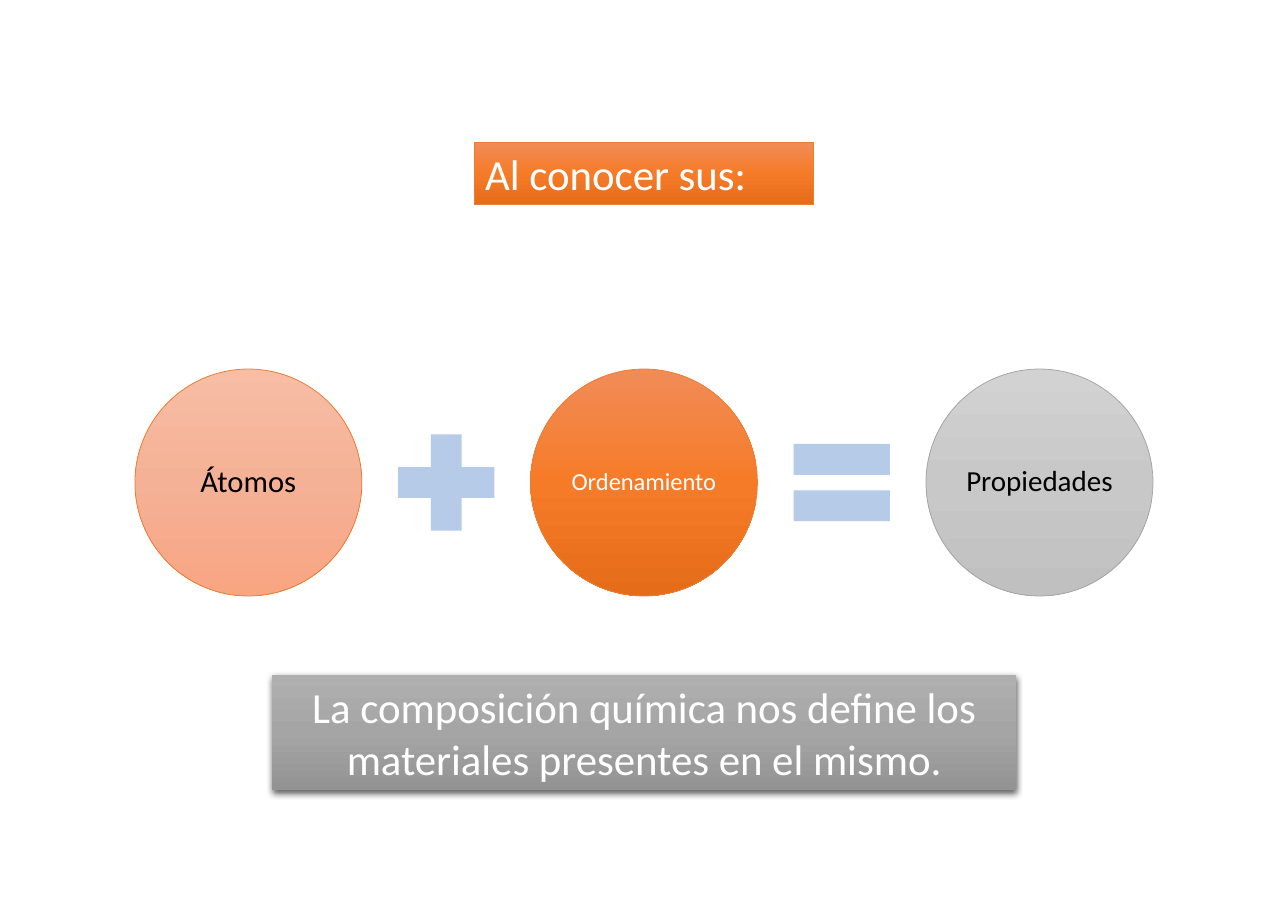
"""Build the slide on what atoms and their ordering say about a material."""
from copy import deepcopy

from lxml.etree import SubElement
from pptx import Presentation
from pptx.dml.color import RGBColor
from pptx.enum.shapes import MSO_SHAPE
from pptx.enum.text import MSO_ANCHOR, MSO_AUTO_SIZE, PP_ALIGN
from pptx.oxml.ns import qn
from pptx.util import Inches, Pt

TERMS = [("Átomos", "peach", "first"), ("Ordenamiento", "orange", "second"),
         ("Propiedades", "silver", "third")]
SIGNS = [MSO_SHAPE.MATH_PLUS, MSO_SHAPE.MATH_EQUAL]
TITLE = "Al conocer sus:"
CONCLUSION = "La composición química nos define los materiales presentes en el mismo."

THEME = {
    "font": "Calibri",
    "size": {"box": 28, "first": 20, "second": 16, "third": 19},
    "sign": "B5CBE7",
    "shadow": "000000",
    "peach": {"stops": ["F7BDA5", "F5B196", "F8A582"], "line": "ED7D31", "text": "000000"},
    "orange": {"stops": ["F18C57", "F67B28", "E56C19"], "line": "ED7D31", "text": "FFFFFF"},
    "silver": {"stops": ["D2D2D2", "C8C8C8", "C0C0C0"], "line": "A5A5A5", "text": "000000"},
    "gray": {"stops": ["AFAFAF", "A5A5A5", "939393"], "line": None, "text": "FFFFFF"},
}

SLIDE_W, SLIDE_H = 11.69, 8.26
CIRCLE, SIGN, GAP = 2.06, 1.19, 0.17
ROW_MIDDLE = 4.38


def set_all(obj, values):
    for name, value in values.items():
        setattr(obj, name, value)


def add_plain(slide, kind, left, top, width, height):
    sp = slide.shapes.add_shape(kind, *map(Inches, (left, top, width, height)))
    sp.shadow.inherit = False
    return sp


def paint(sp, style):
    sp.fill.gradient()
    sp.fill.gradient_angle = 270
    stop_list = sp._element.spPr.find(".//" + qn("a:gsLst"))
    stop_list.append(deepcopy(stop_list[-1]))
    for i, (stop, color) in enumerate(zip(sp.fill.gradient_stops, style["stops"])):
        stop.position = i / 2
        stop.color.rgb = RGBColor.from_string(color)
    if style["line"]:
        sp.line.color.rgb = RGBColor.from_string(style["line"])
        sp.line.width = Pt(0.5)
    else:
        sp.line.fill.background()


def write(sp, text, style, size, frame, paragraph):
    tf = sp.text_frame
    set_all(tf, {"word_wrap": True, **frame})
    p = tf.paragraphs[0]
    set_all(p, paragraph)
    r = p.add_run()
    r.text = text
    set_all(r.font, {"name": THEME["font"], "size": Pt(THEME["size"][size])})
    r.font.color.rgb = RGBColor.from_string(style["text"])


def add_circle(slide, left, text, style, size):
    sp = add_plain(slide, MSO_SHAPE.OVAL, left, ROW_MIDDLE - CIRCLE / 2, CIRCLE, CIRCLE)
    paint(sp, style)
    sides = ("margin_left", "margin_right", "margin_top", "margin_bottom")
    frame = {"vertical_anchor": MSO_ANCHOR.MIDDLE, **dict.fromkeys(sides, Inches(0.03))}
    write(sp, text, style, size, frame, {"alignment": PP_ALIGN.CENTER, "line_spacing": 0.9})


def add_sign(slide, kind, left):
    sp = add_plain(slide, kind, left, ROW_MIDDLE - SIGN / 2, SIGN, SIGN)
    sp.fill.solid()
    sp.fill.fore_color.rgb = RGBColor.from_string(THEME["sign"])
    sp.line.fill.background()


def add_box(slide, text, style, top, width, height, align):
    sp = add_plain(slide, MSO_SHAPE.RECTANGLE, (SLIDE_W - width) / 2, top, width, height)
    paint(sp, style)
    frame = {"vertical_anchor": MSO_ANCHOR.TOP, "auto_size": MSO_AUTO_SIZE.SHAPE_TO_FIT_TEXT}
    write(sp, text, style, "box", frame, {"alignment": align})
    return sp


def add_shadow(sp):
    effects = sp._element.spPr.find(qn("a:effectLst"))
    shadow = SubElement(effects, qn("a:outerShdw"), blurRad=str(Pt(4.5)), dist=str(Pt(1.5)),
                        dir="5400000", algn="ctr", rotWithShape="0")
    color = SubElement(shadow, qn("a:srgbClr"), val=THEME["shadow"])
    SubElement(color, qn("a:alpha"), val="63000")


def main():
    prs = Presentation()
    set_all(prs, {"slide_width": Inches(SLIDE_W), "slide_height": Inches(SLIDE_H)})
    slide = prs.slides.add_slide(prs.slide_layouts[6])

    step = CIRCLE + SIGN + 2 * GAP
    start = (SLIDE_W - CIRCLE - step * len(SIGNS)) / 2
    for i, (text, style, size) in enumerate(TERMS):
        add_circle(slide, start + i * step, text, THEME[style], size)
    for i, kind in enumerate(SIGNS):
        add_sign(slide, kind, start + i * step + CIRCLE + GAP)

    add_box(slide, TITLE, THEME["orange"], 1.29, 3.08, 0.57, PP_ALIGN.LEFT)
    add_shadow(add_box(slide, CONCLUSION, THEME["gray"], 6.13, 6.75, 1.04, PP_ALIGN.CENTER))
    prs.save("out.pptx")


if __name__ == "__main__":
    main()
